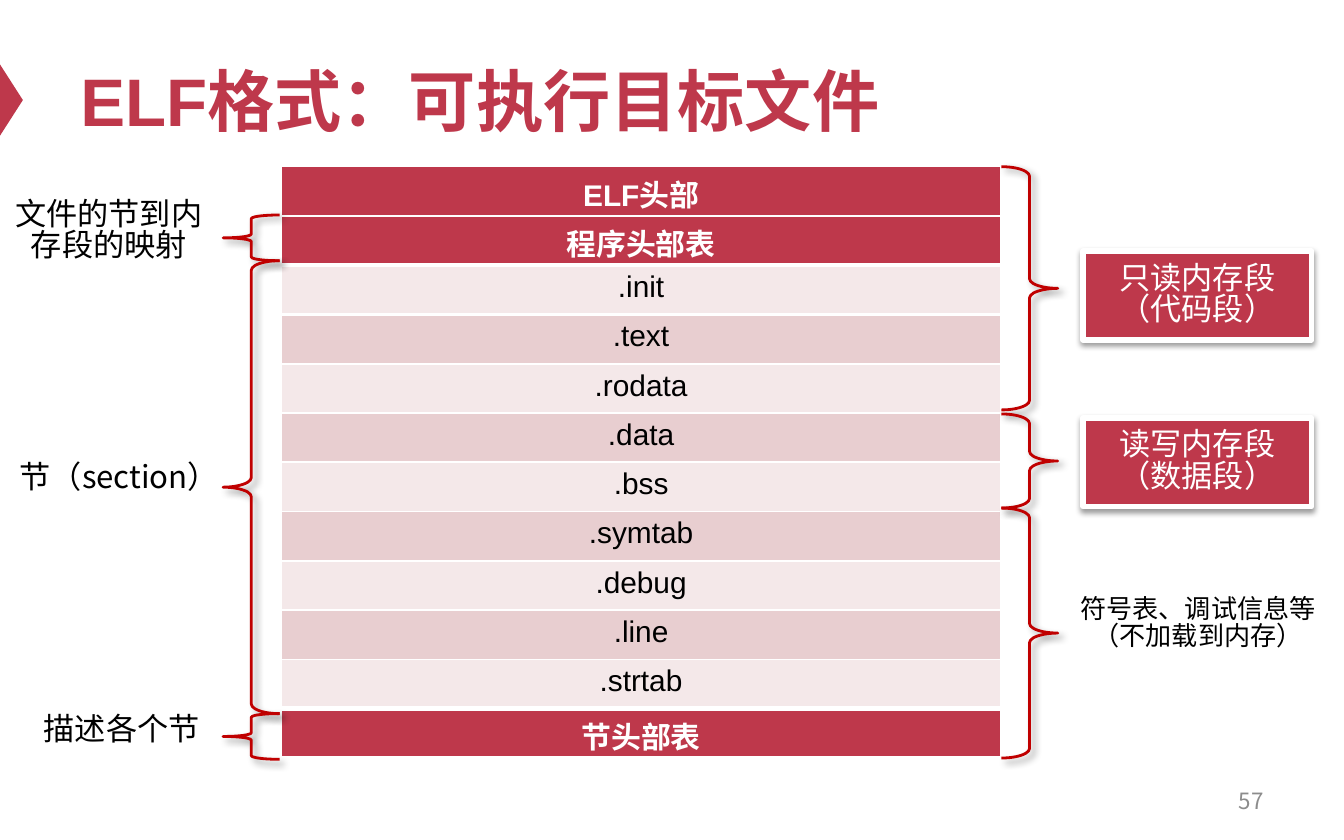
import pptx
import pptx.util
import pptx.dml.color
import pptx.enum.shapes
import pptx.enum.text
import pptx.oxml
import pptx.oxml.ns

Pt = pptx.util.Pt
RGB = pptx.dml.color.RGBColor
KIND = pptx.enum.shapes.MSO_SHAPE
ALIGN = pptx.enum.text.PP_ALIGN
ANCHOR = pptx.enum.text.MSO_ANCHOR

WIDE, HIGH = pptx.util.Inches(10), pptx.util.Inches(6.25)
RED, EDGE = RGB(0xBE, 0x38, 0x4B), RGB(0xC0, 0, 0)
PALE, PINK = RGB(0xF4, 0xE8, 0xE9), RGB(0xE8, 0xCE, 0xD0)
WHITE, BLACK, GREY = RGB(255, 255, 255), RGB(0, 0, 0), RGB(0x8C, 0x8C, 0x8C)
SANS, LATIN = "Noto Sans CJK SC", "Arial"
BODY = 16.7

HEADS = ["ELF头部", "程序头部表"]
PARTS = [".init", ".text", ".rodata", ".data", ".bss",
         ".symtab", ".debug", ".line", ".strtab"]
TAIL = "节头部表"
RULES = {2: 2.25, 3: 2.25, 11: 3, 12: 2.25}  # row edges thicker than 1 pt


def place(x, y, w, h):
    """Turn percent shares of the slide into lengths."""
    return [round(share * side / 100)
            for share, side in zip((x, y, w, h), (WIDE, HIGH, WIDE, HIGH))]


def add_xml(parent, body, index=None):
    node = pptx.oxml.parse_xml(
        body.replace(" ", f" {pptx.oxml.ns.nsdecls('a')} ", 1))
    parent.insert(len(parent) if index is None else index, node)


def add_run(para, text, size, color, font=SANS, bold=False):
    run = para.add_run()
    run.text = text
    run.font.size = Pt(size)
    run.font.bold = bold
    run.font.color.rgb = color
    run.font.name = font
    add_xml(run.font._element, f'<a:ea typeface="{SANS}"/>')


def write(frame, lines, size, color, align=ALIGN.CENTER, gap=0.84, **style):
    frame.word_wrap = True
    for i, line in enumerate(lines):
        para = frame.add_paragraph() if i else frame.paragraphs[0]
        para.alignment = align
        para.line_spacing = gap
        add_run(para, line, size, color, **style)


def add_note(slide, area, lines, size=BODY, color=BLACK,
             anchor=ANCHOR.TOP, **style):
    frame = slide.shapes.add_textbox(*place(*area)).text_frame
    frame.vertical_anchor = anchor
    write(frame, lines, size, color, **style)


def add_shade(shape, alpha, blur, dist, angle):
    shape.shadow.inherit = False
    effect = shape._element.spPr.find(pptx.oxml.ns.qn("a:effectLst"))
    add_xml(effect, f'<a:outerShdw blurRad="{Pt(blur)}" dist="{Pt(dist)}" '
            f'dir="{angle * 60000}" rotWithShape="0"><a:srgbClr val="000000">'
            f'<a:alpha val="{alpha * 1000}"/></a:srgbClr></a:outerShdw>')


def add_brace(slide, x, top, end, bend, turn=0):
    brace = slide.shapes.add_shape(
        KIND.LEFT_BRACE, *place(x, top, 4.2, end - top))
    brace.adjustments[0] = bend
    brace.rotation = turn
    brace.fill.background()
    brace.line.color.rgb = EDGE
    brace.line.width = Pt(1.5)
    add_shade(brace, 40, 4, 3, 45)


def add_card(slide, y, lines):
    card = slide.shapes.add_shape(
        KIND.RECTANGLE, *place(80.6, y, 17, 10.56))
    card.fill.solid()
    card.fill.fore_color.rgb = RED
    card.line.color.rgb = WHITE
    card.line.width = Pt(3)
    add_shade(card, 38, 3.1, 1.6, 90)
    write(card.text_frame, lines, BODY, WHITE)


def add_mark(slide):
    mark = slide.shapes.add_shape(
        KIND.ISOSCELES_TRIANGLE, *place(-1.8, 10.56, 5.3, 2.72))
    mark.rotation = 90
    mark.shadow.inherit = False
    mark.fill.solid()
    mark.fill.fore_color.rgb = RED
    mark.line.fill.background()


def add_rules(cell, row):
    sides = {"L": 1, "R": 1, "T": RULES.get(row, 1), "B": RULES.get(row + 1, 1)}
    for i, (side, width) in enumerate(sides.items()):
        add_xml(cell._tc.get_or_add_tcPr(),
                f'<a:ln{side} w="{Pt(width)}"><a:solidFill>'
                f'<a:srgbClr val="{WHITE}"/></a:solidFill></a:ln{side}>', i)


def add_layout(slide):
    """Add the table of file sections."""
    names = HEADS + PARTS + [TAIL]
    area = place(20.9, 19.84, 53.6, 70.4)
    table = slide.shapes.add_table(len(names), 1, *area).table
    table.first_row = table.horz_banding = False
    for i, name in enumerate(names):
        part = name in PARTS
        cell = table.cell(i, 0)
        cell.margin_top, cell.margin_bottom = Pt(3), 0
        cell.fill.solid()
        cell.fill.fore_color.rgb = (PINK if i % 2 else PALE) if part else RED
        add_rules(cell, i)
        write(cell.text_frame, [name], 16, BLACK if part else WHITE,
              gap=1, font=LATIN, bold=not part)


def main():
    deck = pptx.Presentation()
    deck.slide_width, deck.slide_height = WIDE, HIGH
    slide = deck.slides.add_slide(deck.slide_layouts[6])

    add_mark(slide)
    add_note(slide, (5, 4, 90, 15.68), ["ELF格式：可执行目标文件"], 36, RED,
             ANCHOR.MIDDLE, align=ALIGN.LEFT, gap=1, font=LATIN, bold=True)
    add_note(slide, (71.7, 92.64, 23.3, 5.28), ["57"], 12, GREY,
             ANCHOR.MIDDLE, align=ALIGN.RIGHT, gap=1)
    add_layout(slide)

    for top, end, bend in ((25.6, 31.04, 0.08), (31.04, 84.96, 0.17),
                           (84.96, 90.4, 0.08)):
        add_brace(slide, 16.6, top, end, bend)
    for top, end in ((19.84, 48.8), (49.28, 60.48), (60.48, 90.24)):
        add_brace(slide, 74.5, top, end, 0.17, 180)

    add_note(slide, (-0.4, 23.04, 17, 10.56), ["文件的节到内存段的映射"])
    add_note(slide, (0.5, 54.4, 17, 6.08), ["节（section）"], align=ALIGN.LEFT)
    add_note(slide, (2.1, 84.32, 13.9, 6.08), ["描述各个节"])
    add_note(slide, (78.5, 70.4, 21.3, 9.12),
             ["符号表、调试信息等", "（不加载到内存）"], 14)
    add_card(slide, 29.92, ["只读内存段", "（代码段）"])
    add_card(slide, 49.76, ["读写内存段", "（数据段）"])
    deck.save("out.pptx")


if __name__ == "__main__":
    main()
